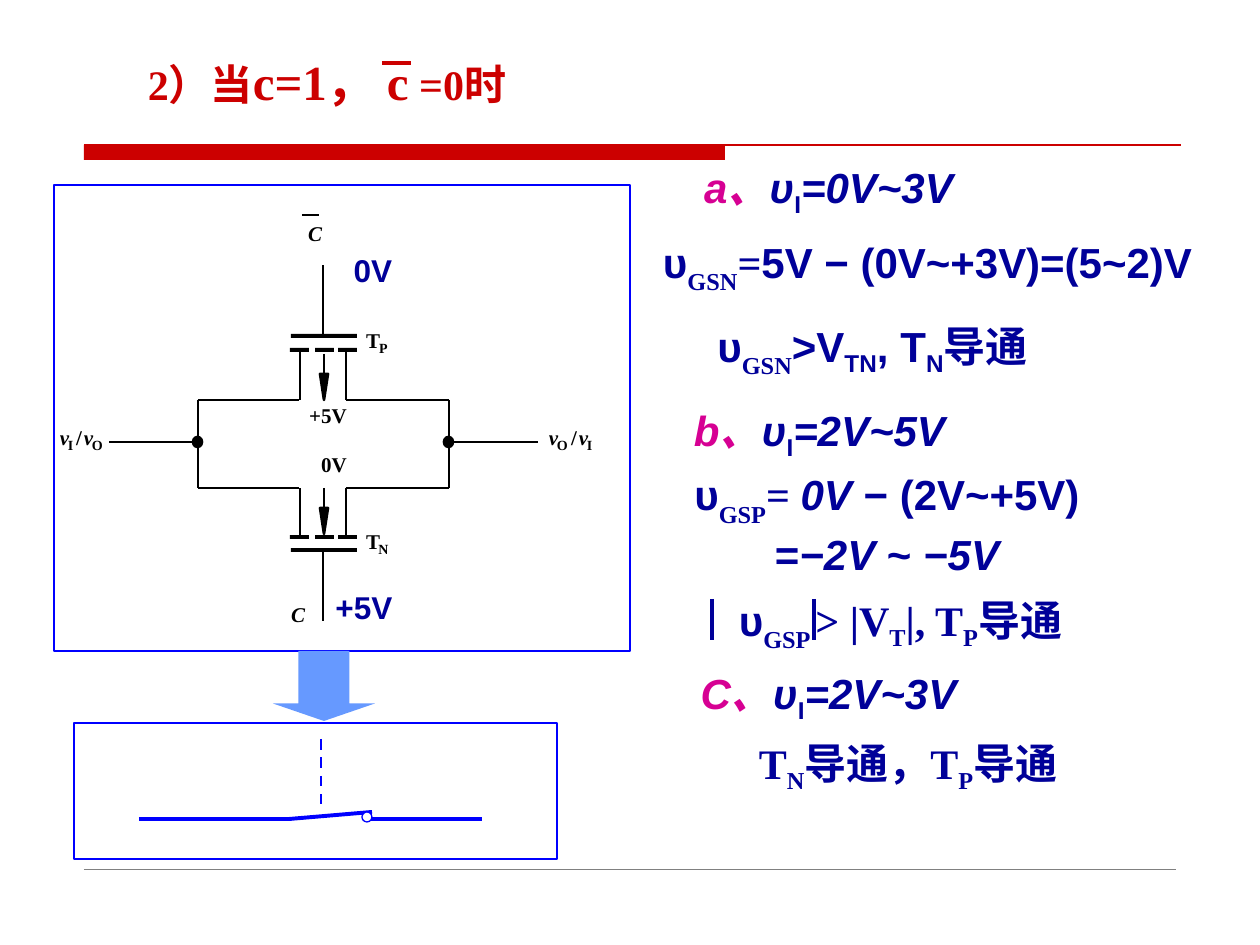
import dataclasses
import functools

import pptx
import pptx.dml.color
import pptx.enum.dml
import pptx.enum.shapes
import pptx.enum.text
import pptx.oxml.ns
import pptx.util
from lxml import etree

EMU_PER_PX = 914400 / 126
SHAPES = pptx.enum.shapes.MSO_SHAPE


@dataclasses.dataclass(frozen=True)
class Theme:
    red: str = "CC0000"
    navy: str = "000099"
    pink: str = "D60093"
    blue: str = "0000FF"
    arrow: str = "6699FF"
    black: str = "000000"
    white: str = "FFFFFF"
    gray: str = "808080"
    serif: str = "Times New Roman"
    sans: str = "Arial"
    chinese: str = "Noto Sans CJK SC"
    large: int = 28
    body: int = 24
    voltage: int = 18
    label: int = 12
    index: int = 8


THEME = Theme()


@dataclasses.dataclass(frozen=True)
class Run:
    text: str
    size: int = THEME.body
    font: str = THEME.sans
    color: str = THEME.navy
    italic: bool = False
    baseline: int = 0


Serif = functools.partial(Run, font=THEME.serif)
Heading = functools.partial(Serif, color=THEME.red)
Slanted = functools.partial(Run, italic=True)
Sub = functools.partial(Run, baseline=-25)
SerifSub = functools.partial(Serif, baseline=-25)
LowSub = functools.partial(Serif, baseline=-30)
Chinese = functools.partial(Run, font=THEME.chinese)


def px(value):
    return pptx.util.Emu(round(value * EMU_PER_PX))


def rgb(value):
    return pptx.dml.color.RGBColor.from_string(value)


class Board:
    def __init__(self, slide, theme):
        self.shapes = slide.shapes
        self.theme = theme

    def paint(self, shape, fill, line, weight):
        shape.shadow.inherit = False
        shape.fill.solid()
        shape.fill.fore_color.rgb = rgb(fill)
        if line:
            shape.line.color.rgb = rgb(line)
            shape.line.width = pptx.util.Pt(weight)
        else:
            shape.line.fill.background()

    def shape(self, kind, box, fill, line=None, weight=0.75):
        shape = self.shapes.add_shape(kind, *map(px, box))
        self.paint(shape, fill, line, weight)
        return shape

    def outline(self, points, fill, line, weight):
        builder = self.shapes.build_freeform(*points[0], scale=EMU_PER_PX)
        builder.add_line_segments(points[1:], close=True)
        self.paint(builder.convert_to_shape(), fill, line, weight)

    def line(self, x1, y1, x2, y2, color=THEME.black, weight=1.5, dashed=False):
        line = self.shapes.add_connector(
            pptx.enum.shapes.MSO_CONNECTOR.STRAIGHT, *map(px, (x1, y1, x2, y2)))
        line.line.color.rgb = rgb(color)
        line.line.width = pptx.util.Pt(weight)
        if dashed:
            line.line.dash_style = pptx.enum.dml.MSO_LINE.DASH
        etree.SubElement(line._element.spPr, pptx.oxml.ns.qn("a:effectLst"))

    def text(self, box, *paragraphs, wrap=True, inset=(13, 6)):
        """Each paragraph is a list of Run."""
        frame = self.shapes.add_textbox(*map(px, box)).text_frame
        frame.word_wrap = wrap
        frame.auto_size = pptx.enum.text.MSO_AUTO_SIZE.SHAPE_TO_FIT_TEXT
        frame.margin_left = frame.margin_right = px(inset[0])
        frame.margin_top = frame.margin_bottom = px(inset[1])
        for number, runs in enumerate(paragraphs):
            paragraph = frame.add_paragraph() if number else frame.paragraphs[0]
            paragraph.alignment = pptx.enum.text.PP_ALIGN.CENTER
            for run in runs:
                self.run(paragraph, run)

    def run(self, paragraph, style):
        run = paragraph.add_run()
        run.text = style.text
        run.font.size = pptx.util.Pt(style.size)
        run.font.name = style.font
        run.font.bold = True
        run.font.italic = style.italic
        run.font.color.rgb = rgb(style.color)
        properties = run._r.get_or_add_rPr()
        if style.baseline:
            properties.set("baseline", str(style.baseline * 1000))
        east_asian = etree.Element(pptx.oxml.ns.qn("a:ea"), typeface=self.theme.chinese)
        properties.find(pptx.oxml.ns.qn("a:latin")).addnext(east_asian)

    def label(self, text, left, top, width, italic=False, index=False):
        """Small circuit label, with 2 px to spare on both sides."""
        size = self.theme.index if index else self.theme.label
        self.text((left - 2, top + 12 * index, width + 4, 16 if index else 25),
                  [Serif(text, size, color=self.theme.black, italic=italic)],
                  wrap=False, inset=(0, 0))

    def terminal(self, left, first, second):
        """Label such as vI/vO, with the two indices given."""
        x = left
        for index, slash in ((first, True), (second, False)):
            self.label("v", x, 425, 9, italic=True)
            width = 11 if index == "O" else 5
            self.label(index, x + 8, 425, width, index=True)
            x += width + 11
            if slash:
                self.label("/", x, 425, 6)
                x += 8

    def transistor(self, gate, channel, wire, arrow, lead_end):
        black = self.theme.black
        for x in (300, 346):
            self.line(x, channel + 2, x, wire)
        self.line(324, arrow, 324, arrow + 25)
        self.outline([(320, arrow + 20), (328, arrow + 20), (324, arrow + 46)],
                     black, black, 1.5)
        for x in (290, 315, 338):
            self.shape(SHAPES.RECTANGLE, (x, channel, 19, 4), black)
        self.shape(SHAPES.RECTANGLE, (291, gate, 66, 4), black)
        self.line(323, gate + 2, 323, lead_end)


def draw_circuit(board):
    t = board.theme
    board.shape(SHAPES.RECTANGLE, (54, 185, 576, 466), t.white, t.blue)
    for node, end in ((198, 109), (449, 538)):
        board.shape(SHAPES.OVAL, (node - 5, 437, 9, 10), t.black, t.black, 1.5)
        board.line(node, 442, end, 442)
        board.line(node, 400, node, 488)
    board.transistor(gate=334, channel=348, wire=400, arrow=354, lead_end=265)
    board.transistor(gate=548, channel=535, wire=488, arrow=488, lead_end=621)
    for y in (400, 488):
        board.line(198, y, 299, y)
        board.line(346, y, 449, y)
    board.line(302, 215, 319, 215)
    board.label("C", 308, 221, 14, italic=True)
    board.label("C", 291, 602, 14, italic=True)
    for top, index in ((328, "P"), (529, "N")):
        board.label("T", 366, top, 14)
        board.label(index, 379, top, 9, index=True)
    board.label("+5V", 309, 403, 38)
    board.label("0V", 320, 452, 28)
    for text, center, top in (("+5V", 364, 582), ("0V", 373, 245)):
        board.text((center - 50, top, 100, 50), [Run(text, t.voltage)], wrap=False)
    board.terminal(60, "I", "O")
    board.terminal(549, "O", "I")


def draw_switch(board):
    t = board.theme
    board.shape(SHAPES.RECTANGLE, (74, 723, 483, 136), t.white, t.blue)
    for ends in ((139, 819, 289, 819), (289, 819, 372, 812), (364, 819, 482, 819)):
        board.line(*ends, t.blue, 2.25)
    board.line(321, 739, 321, 804, t.blue, dashed=True)
    board.shape(SHAPES.OVAL, (362, 812, 10, 10), t.white, t.blue)
    arrow = board.shape(SHAPES.DOWN_ARROW, (273, 651, 102, 70), t.arrow)
    arrow.adjustments[0], arrow.adjustments[1] = 0.5, 0.25


def write_cases(board):
    t = board.theme
    cases = (("a", "0V~3V", 669, 155), ("b", "2V~5V", 660, 398), ("C", "2V~3V", 669, 661))
    for letter, span, left, top in cases:
        board.text((left, top, 319, 71),
                   [Slanted(letter + "、", color=t.pink), Slanted("υ"), Sub("I"),
                    Slanted("=" + span)])
    board.text((592, 230, 683, 72),
               [Run("υ"), LowSub("GSN"), Serif("="), Run("5V − (0V~+3V)=(5~2)V ")])
    board.text((669, 314, 407, 72),
               [Run("υ"), LowSub("GSN"), Run(">V"), Sub("TN"), Run(", T"), Sub("N"),
                Run("导通")])
    board.text((514, 463, 746, 122),
               [Run("υ"), LowSub("GSP"), Serif("= "), Slanted("0V "), Run("− (2V~+5V)")],
               [Run("="), Slanted("−2V"), Run(" ~ "), Slanted("−5V")])
    board.text((610, 588, 581, 72),
               [Run("υ"), LowSub("GSP "), Serif("> |V"), SerifSub("T"), Serif("|, T"),
                SerifSub("P"), Run("导通")])
    for x in (814, 712):
        board.line(x, 599, x, 640, t.navy, 2.25)
    board.text((729, 731, 358, 71),
               [Serif("T"), SerifSub("N"), Chinese("导通，"), Serif("T"), SerifSub("P"),
                Chinese("导通")])


def main():
    deck = pptx.Presentation()
    deck.slide_width, deck.slide_height = px(1260), px(945)
    board = Board(deck.slides.add_slide(deck.slide_layouts[6]), THEME)
    board.shape(SHAPES.RECTANGLE, (84, 145, 641, 15), THEME.red)
    board.line(84, 145, 1181, 145, THEME.red, 0.75)
    board.line(84, 869, 1176, 869, THEME.gray, 0.25)
    draw_circuit(board)
    write_cases(board)
    draw_switch(board)
    board.text((102, 46, 450, 72),
               [Heading("2）当"), Heading("c=1， c", THEME.large), Heading(" =0时")],
               wrap=False)
    board.line(382, 63, 411, 63, THEME.red, 2.25)
    deck.save("out.pptx")


if __name__ == "__main__":
    main()
